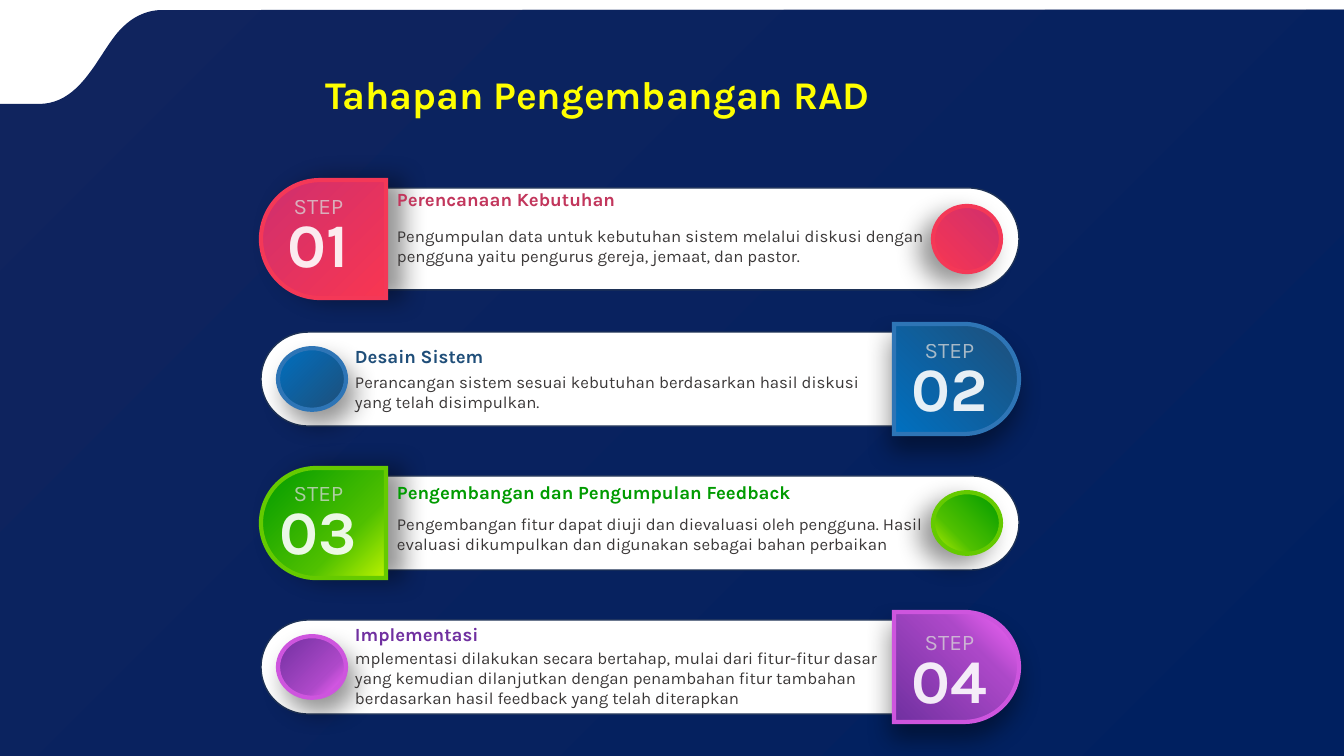
from collections import namedtuple
from lxml.etree import SubElement
from pptx import Presentation
from pptx.dml.color import RGBColor
from pptx.enum.shapes import MSO_SHAPE as SHAPE
from pptx.enum.text import MSO_ANCHOR as ANCHOR, PP_ALIGN as ALIGN
from pptx.oxml.ns import qn
from pptx.util import Emu, Pt

SCALE = 12192000 / 1344
FONT = "Karla"
Step = namedtuple("Step", "number heading body heading_color line stops height "
                  "label_y heading_y body_y shadow_angles")
PINK = [(0, "F83652"), (100, "CF2F6E")]
BLUE = [(0, "1F4E79"), (100, "0070C0")]
GREEN = [(0, "BCF300"), (34, "4FC000"), (100, "009B00")]
PURPLE = [(0, "FB67FC"), (34, "AC48C8"), (100, "7030A0")]
STEPS = [
    Step("01", "Perencanaan Kebutuhan",
         "Pengumpulan data untuk kebutuhan sistem melalui diskusi dengan "
         "pengguna yaitu pengurus gereja, jemaat, dan pastor.",
         "C2365C", "F43857", PINK, 118, 7, 19, 66, (0, 140)),
    Step("02", "Desain Sistem",
         "Perancangan sistem sesuai kebutuhan berdasarkan hasil diskusi "
         "yang telah disimpulkan.",
         "1F4E79", "2E75B6", BLUE, 110, 7, 32, 68, (100, 60)),
    Step("03", "Pengembangan dan Pengumpulan Feedback",
         "Pengembangan fitur dapat diuji dan dievaluasi oleh pengguna. Hasil "
         "evaluasi dikumpulkan dan digunakan sebagai bahan perbaikan",
         "009B00", "65CA00", GREEN, 110, 6, 24, 66, (0, 140)),
    Step("04", "Implementasi",
         "mplementasi dilakukan secara bertahap, mulai dari fitur-fitur dasar "
         "yang kemudian dilanjutkan dengan penambahan fitur tambahan "
         "berdasarkan hasil feedback yang telah diterapkan",
         "7030A0", "CE55DE", PURPLE, 110, 11, 22, 66, (100, 60)),
]


def px(n):
    """Turn pixels into EMU."""
    return Emu(round(n * SCALE))


def color(value):
    """Turn a hex string into a colour."""
    return RGBColor.from_string(value)


def fill_gradient(sp, stops, angle):
    """Fill a shape with a linear gradient at a counterclockwise angle."""
    sp.fill.gradient()
    sp.fill.gradient_angle = angle
    gs_list = sp.element.spPr.find(".//" + qn("a:gsLst"))
    for gs in list(gs_list):
        gs_list.remove(gs)
    for pos, value in stops:
        gs = SubElement(gs_list, qn("a:gs"), pos=str(pos * 1000))
        SubElement(gs, qn("a:srgbClr"), val=value)


def add_shadow(sp, angle):
    """Give a shape a soft black outer shadow in a clockwise direction."""
    effects = sp.element.spPr.find(qn("a:effectLst"))
    shadow = SubElement(effects, qn("a:outerShdw"), blurRad=str(Pt(18)),
                        dist=str(Pt(11)), dir=str(angle * 60000), rotWithShape="0")
    black = SubElement(shadow, qn("a:srgbClr"), val="000000")
    SubElement(black, qn("a:alpha"), val="42000")


def add_outlined(slide, kind, cx, cy, w, h, line, weight, rotation=0):
    """Add an outlined shape centred on a point, with its size as seen."""
    if rotation:
        w, h = h, w
    sp = slide.shapes.add_shape(kind, px(cx - w / 2), px(cy - h / 2), px(w), px(h))
    sp.rotation = rotation
    sp.shadow.inherit = False
    sp.line.color.rgb = color(line)
    sp.line.width = Pt(weight)
    SubElement(sp.element.spPr.find(qn("a:ln")), qn("a:miter"), lim="800000")
    if kind == SHAPE.ROUND_2_SAME_RECTANGLE:
        sp.adjustments[0], sp.adjustments[1] = 0.5, 0
    return sp


def add_text(slide, x, cy, w, h, text, size, value, bold=False,
             align=ALIGN.LEFT, alpha=100):
    """Add a text box centred vertically on cy."""
    tf = slide.shapes.add_textbox(px(x), px(cy - h / 2), px(w), px(h)).text_frame
    tf.word_wrap = True
    tf.vertical_anchor = ANCHOR.MIDDLE
    tf.margin_left = tf.margin_right = 0
    p = tf.paragraphs[0]
    p.text = text
    p.alignment = align
    p.font.name, p.font.size, p.font.bold = FONT, Pt(size), bold
    p.font.color.rgb = color(value)
    if alpha < 100:
        srgb = p.font._element.find(".//" + qn("a:srgbClr"))
        SubElement(srgb, qn("a:alpha"), val=str(alpha * 1000))


def curve(a, b, c, d, steps=24):
    """Return points along a cubic Bezier curve, without its start."""
    ts = [i / steps for i in range(1, steps + 1)]
    return [tuple((1 - t) ** 3 * k + 3 * (1 - t) ** 2 * t * m
                  + 3 * (1 - t) * t * t * n + t ** 3 * o
                  for k, m, n, o in zip(a, b, c, d)) for t in ts]


def add_backdrop(slide, x, y, w, h):
    """Draw the navy panel with a curved notch behind everything else."""
    points = [(x + w, y), (x + w, y + h), (x, y + h), (x, y + 94), (x + 39, y + 94)]
    points += curve((x + 39, y + 94), (x + 84, y + 94), (x + 100, y + 38), (x + 123, y + 17))
    points += curve((x + 123, y + 17), (x + 134, y + 6), (x + 148, y), (x + 163, y))
    builder = slide.shapes.build_freeform(px(x + 163), px(y))
    builder.add_line_segments([(px(a), px(b)) for a, b in points])
    sp = builder.convert_to_shape()
    sp.shadow.inherit = False
    sp.line.fill.background()
    fill_gradient(sp, [(0, "10245E"), (100, "002060")], 315)
    slide.shapes.title.element.addprevious(sp.element)


def add_title(slide, x, y, w, h):
    """Place and format the slide title."""
    sp = slide.shapes.title
    sp.left, sp.top, sp.width, sp.height = px(x), px(y), px(w), px(h)
    tf = sp.text_frame
    tf.text = "Tahapan Pengembangan RAD"
    tf.vertical_anchor = ANCHOR.MIDDLE
    p = tf.paragraphs[0]
    p.alignment = ALIGN.LEFT
    p.font.name, p.font.size, p.font.bold = FONT, Pt(28), True
    p.font.color.rgb = color("FFFF00")


def add_step(slide, x, y, w, step, tab_left):
    """Draw one step: white bar, numbered tab, round accent and texts."""
    tab_w, bar_w, h = 125, 683, step.height
    cy = y + h / 2
    half_round = SHAPE.ROUND_2_SAME_RECTANGLE
    if tab_left:
        tab_x, bar_x, dot_x = x + tab_w / 2, x + w - bar_w / 2, x + w - 52
        label_x, text_x, text_w = x + 5, x + 136, 542
        tab_turn, tab_angle, dot_angle = 270, 45, 45
    else:
        tab_x, bar_x, dot_x = x + w - tab_w / 2, x + bar_w / 2, x + 51
        label_x, text_x, text_w = x + w - 122, x + 94, 530
        tab_turn, tab_angle, dot_angle = 90, 315, 135

    bar = add_outlined(slide, half_round, bar_x, cy, bar_w, h - 16,
                       "1E3256", 1, 360 - tab_turn)
    bar.fill.solid()
    bar.fill.fore_color.rgb = color("FFFFFF")
    tab = add_outlined(slide, half_round, tab_x, cy, tab_w, h, step.line, 3, tab_turn)
    dot = add_outlined(slide, SHAPE.OVAL, dot_x, cy, 68, h * 0.56, step.line, 3)
    angles = (tab_angle, dot_angle)
    for sp, angle, shadow in zip((tab, dot), angles, step.shadow_angles):
        fill_gradient(sp, step.stops, angle)
        add_shadow(sp, shadow)

    label_y = y + step.label_y
    add_text(slide, label_x, label_y + 19, 105, 39, "STEP", 16, "D9D9D9",
             align=ALIGN.CENTER, alpha=74)
    add_text(slide, label_x, label_y + 56, 105, 88, step.number, 44, "FFFFFF",
             True, ALIGN.CENTER, 90)
    add_text(slide, text_x, y + step.heading_y, text_w, 34, step.heading,
             13.3, step.heading_color, True)
    add_text(slide, text_x, y + step.body_y, text_w, 74, step.body, 12, "3B3838")


def main():
    """Build the slide and save it."""
    prs = Presentation()
    prs.slide_width, prs.slide_height = px(1344), px(756)
    slide = prs.slides.add_slide(prs.slide_layouts[5])
    add_backdrop(slide, 0, 10, 1344, 746)
    add_title(slide, 315, 65, 706, 57)
    for i, step in enumerate(STEPS):
        add_step(slide, 261, 180 + 144 * i, 758, step, i % 2 == 0)
    prs.save("out.pptx")


if __name__ == "__main__":
    main()
